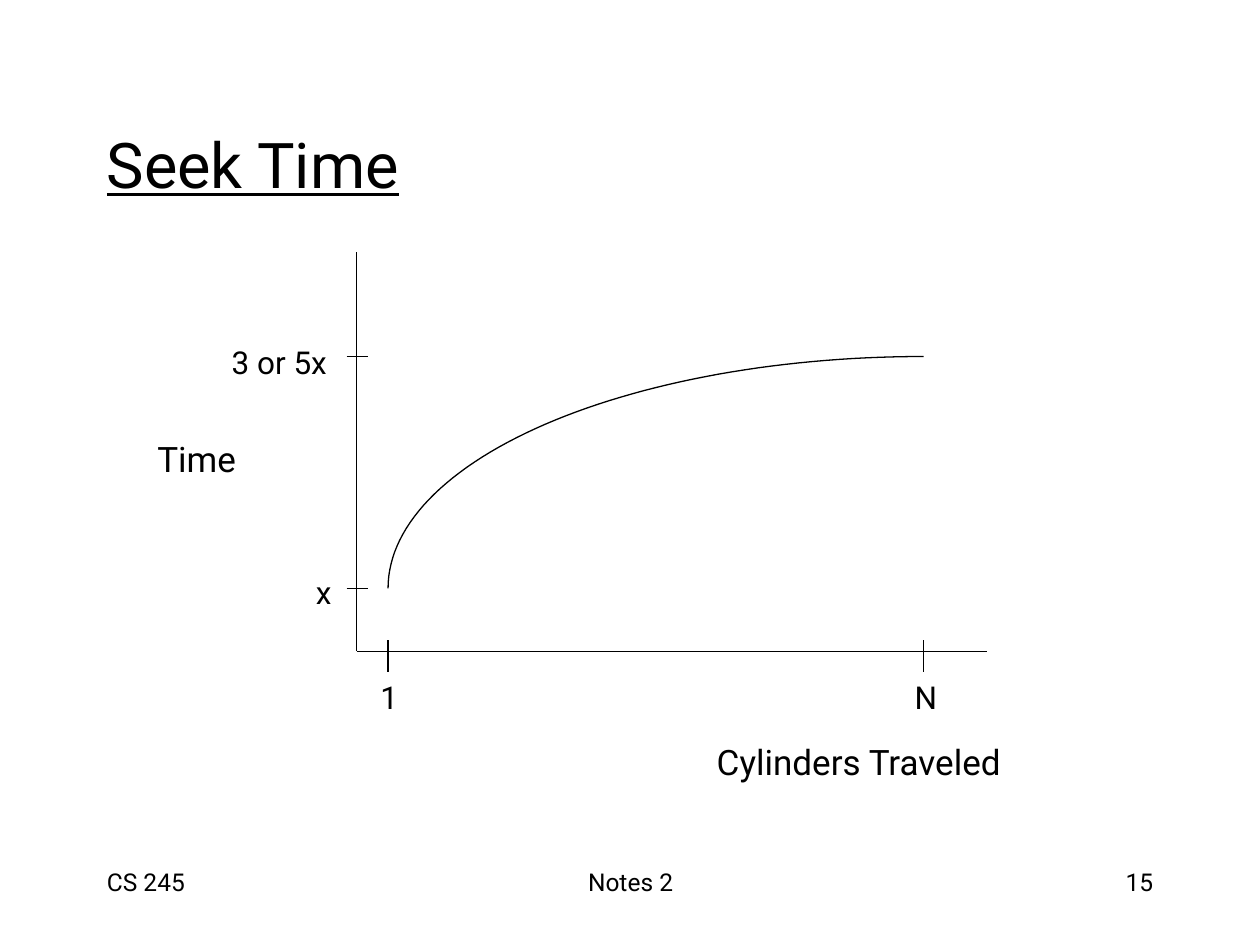
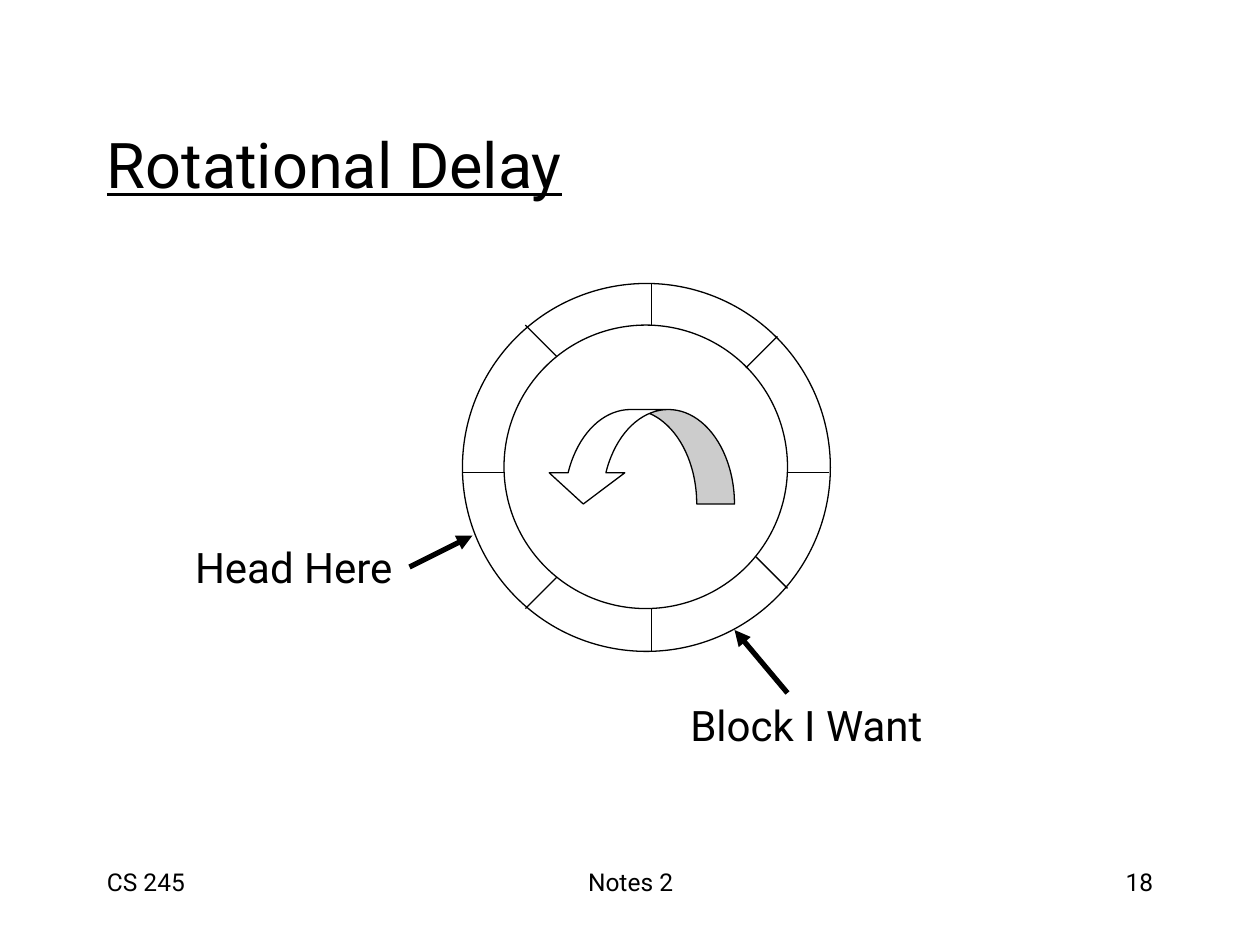
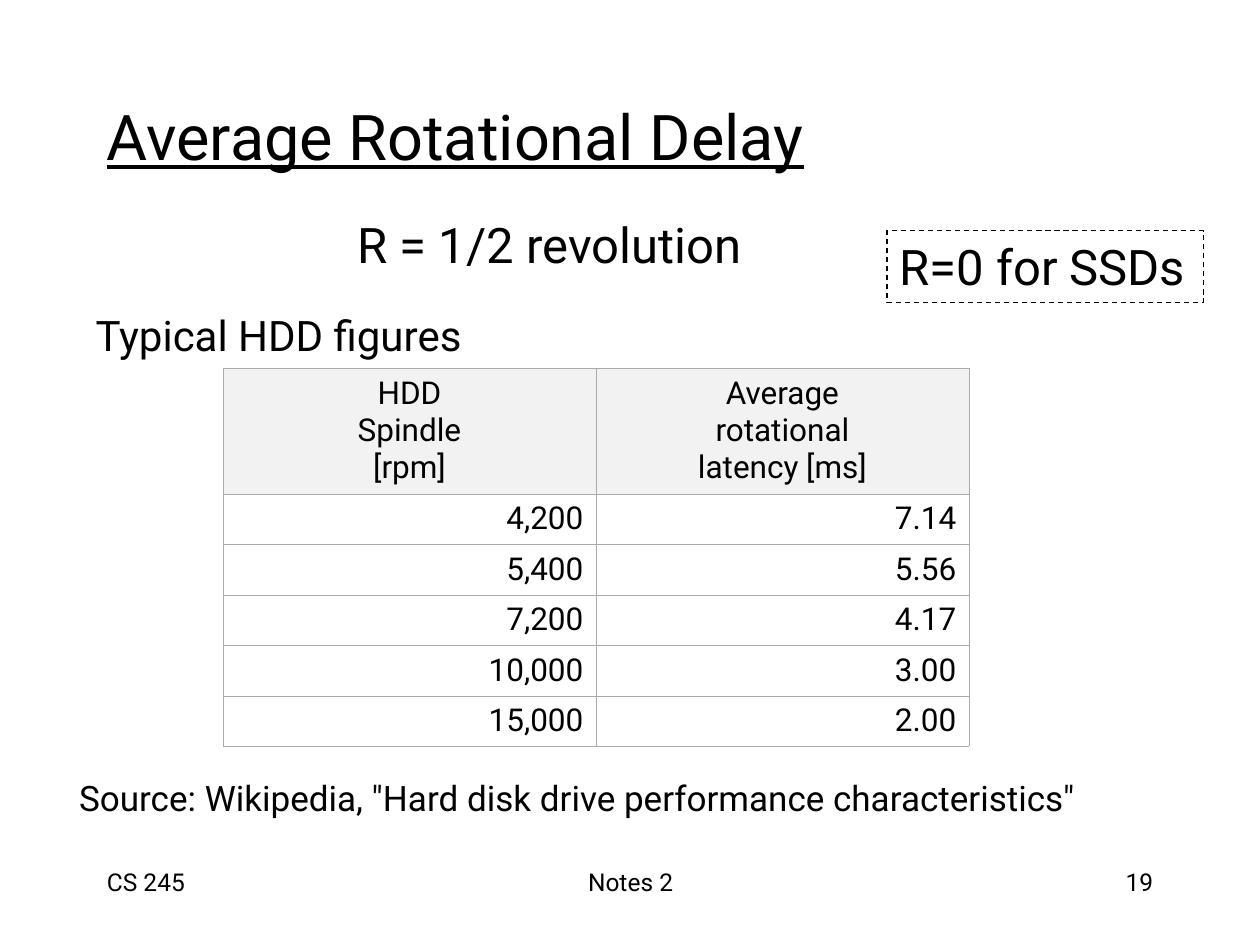
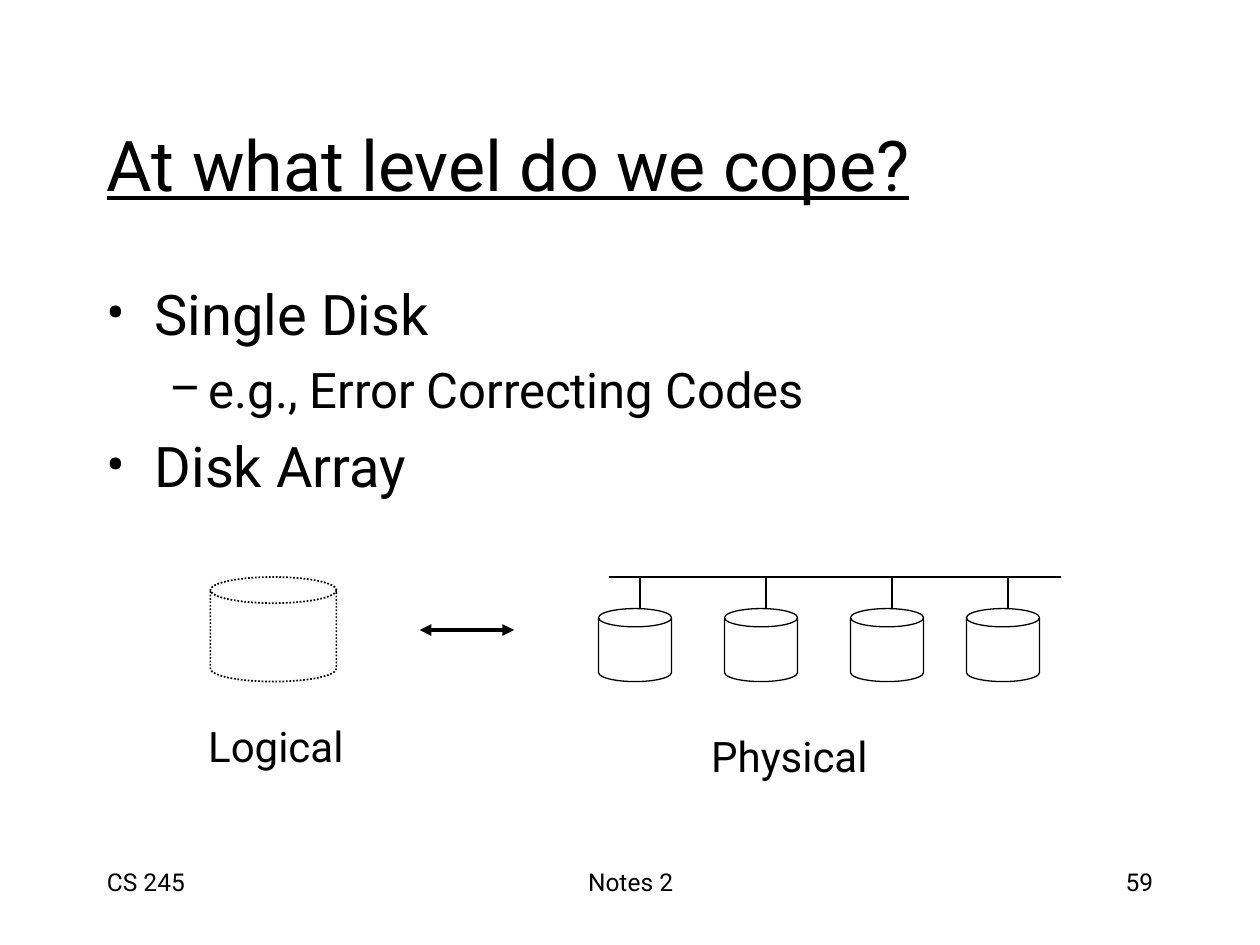
"""Build four lecture slides on disk seek time, rotational delay and arrays."""
from math import cos, pi, sin

from lxml.etree import SubElement
from pptx import Presentation
from pptx.dml.color import RGBColor
from pptx.enum.dml import MSO_LINE
from pptx.enum.shapes import MSO_CONNECTOR, MSO_SHAPE
from pptx.enum.text import MSO_ANCHOR, PP_ALIGN
from pptx.oxml.ns import qn
from pptx.util import Inches, Pt

COLOR = {"ink": "000000", "paper": "FFFFFF", "head": "F2F2F2", "rule": "AAAAAA"}
FONT = "Roboto"
LEFT, MID, RIGHT = PP_ALIGN.LEFT, PP_ALIGN.CENTER, PP_ALIGN.RIGHT

TITLE = (0.75, 0.67, 8.5, 1.25)
FOOT = [
    ("CS 245", (0.75, 6.83, 2.08, 0.5), LEFT),
    ("Notes 2", (3.42, 6.83, 3.17, 0.5), MID),
]
PAGE = (7.17, 6.83, 2.08, 0.5)

SEEK = {
    "axes": [(2.83, 2, 2.83, 5.17), (2.83, 5.17, 7.83, 5.17)],
    "x": (3.08, 7.33),
    "y": (2.83, 4.67),
    "labels": [
        ("3 or 5x", (1.74, 2.67, 1, 0.4), 18),
        ("x", (2.41, 4.5, 0.33, 0.4), 18),
        ("1", (2.92, 5.33, 0.34, 0.4), 18),
        ("N", (7.16, 5.33, 0.39, 0.4), 18),
        ("Cylinders Traveled", (5.59, 5.83, 2.6, 0.44), 20),
        ("Time", (1.15, 3.42, 0.84, 0.44), 20),
    ],
}

DISK = {
    "rings": [(3.67, 2.25, 2.92, 2.92), (4, 2.58, 2.25, 2.25)],
    "spokes": [
        (5.17, 2.25, 5.17, 2.58), (5.17, 4.83, 5.17, 5.17),
        (6.25, 3.75, 6.58, 3.75), (3.67, 3.75, 4, 3.75),
        (5.92, 2.92, 6.17, 2.67), (4.17, 4.83, 4.42, 4.58),
        (6, 4.42, 6.25, 4.67), (4.17, 2.58, 4.42, 2.83),
    ],
    "turn": (4.33, 3.25, 1.5, 0.75),
    "arrows": [(3.25, 4.5, 3.75, 4.25), (6.25, 5.5, 5.83, 5)],
    "labels": [
        ("Head Here", (1.45, 4.25, 1.87, 0.5), 24),
        ("Block I Want", (5.38, 5.5, 2.15, 0.5), 24),
    ],
}

DELAY = {
    "labels": [
        ("R = 1/2 revolution", (2.74, 1.65, 3.42, 0.57), 28),
        ("Typical HDD figures", (0.66, 2.41, 3.28, 0.5), 24),
        ('Source: Wikipedia, "Hard disk drive performance characteristics"',
         (0.53, 6.11, 8.6, 0.44), 20),
    ],
    "note": ("R=0 for SSDs", (7.04, 1.83, 2.51, 0.57), 28),
    "table": (1.77, 2.92, 5.92, 3),
    "rows": [
        ("HDD\nSpindle\n[rpm]", "Average\nrotational\nlatency [ms]"),
        ("4,200", "7.14"),
        ("5,400", "5.56"),
        ("7,200", "4.17"),
        ("10,000", "3.00"),
        ("15,000", "2.00"),
    ],
}

COPE = {
    "body": (0.75, 2.17, 8.5, 1.85),
    "points": [
        (0, "Single Disk"),
        (1, "e.g., Error Correcting Codes"),
        (0, "Disk Array"),
    ],
    "levels": [
        {"size": 32, "mark": "•", "left": 0.38, "hang": 0.38, "gap": 8},
        {"size": 28, "mark": "–", "left": 0.81, "hang": 0.31, "gap": 7},
    ],
    "bus": (4.83, 4.58, 8.42, 4.58),
    "cans": [(4.75, 5.08), (5.75, 6.08), (6.75, 7.08), (7.67, 8)],
    "whole": (1.67, 4.58, 1, 0.83),
    "link": (3.33, 5, 4.08, 5),
    "labels": [
        ("Logical", (1.54, 5.67, 1.3, 0.5), 24),
        ("Physical", (5.54, 5.75, 1.45, 0.5), 24),
    ],
}


def rgb(name):
    return RGBColor.from_string(COLOR[name])


def emu(box):
    return [Inches(v) for v in box]


def fill_in(para, text, size, align=LEFT, **more):
    para.text = text
    para.alignment = align
    look = {"name": FONT, "size": Pt(size), **more}
    for run in para.runs:
        run.font.color.rgb = rgb("ink")
        for key, val in look.items():
            setattr(run.font, key, val)


def label(slide, text, box, size, align=LEFT, wrap=False, anchor=MSO_ANCHOR.TOP, **more):
    frame = slide.shapes.add_textbox(*emu(box)).text_frame
    frame.word_wrap = wrap
    frame.vertical_anchor = anchor
    fill_in(frame.paragraphs[0], text, size, align, **more)


def labels(slide, items, **more):
    for text, box, size in items:
        label(slide, text, box, size, **more)


def stroke(line, width=0.75, dash=None):
    line.color.rgb = rgb("ink")
    line.width = Pt(width)
    if dash:
        line.dash_style = dash


def draw(slide, kind, box, fill="paper", **pen):
    shape = slide.shapes.add_shape(kind, *emu(box))
    shape.shadow.inherit = False
    if fill:
        shape.fill.solid()
        shape.fill.fore_color.rgb = rgb(fill)
    else:
        shape.fill.background()
    stroke(shape.line, **pen)
    return shape


def join(slide, ends, width=0.75, tips=()):
    wire = slide.shapes.add_connector(MSO_CONNECTOR.STRAIGHT, *emu(ends))
    stroke(wire.line, width)
    pen = wire.line._get_or_add_ln()
    for tip in tips:
        SubElement(pen, qn("a:" + tip), type="triangle")
    SubElement(wire._element.spPr, qn("a:effectLst"))


def start(deck, title, page, box=TITLE, size=36):
    slide = deck.slides.add_slide(deck.slide_layouts[6])
    for text, place, align in FOOT + [(page, PAGE, RIGHT)]:
        label(slide, text, place, 14, align, wrap=True)
    label(slide, title, box, size, wrap=True, anchor=MSO_ANCHOR.MIDDLE, underline=True)
    return slide


def seek(deck):
    slide = start(deck, "Seek Time", "15")
    (x1, x2), (y1, y2) = SEEK["x"], SEEK["y"]
    ticks = [(x, 5.08, x, 5.33) for x in SEEK["x"]]
    ticks += [(2.75, y, 2.92, y) for y in SEEK["y"]]
    for ends in SEEK["axes"] + ticks:
        join(slide, ends)
    steps = 60
    turns = [pi / 2 * i / steps for i in range(steps + 1)]
    dots = [emu((x2 - (x2 - x1) * cos(t), y2 - (y2 - y1) * sin(t))) for t in turns]
    pen = slide.shapes.build_freeform(*dots[0], scale=1.0)
    pen.add_line_segments(dots[1:], close=False)
    curve = pen.convert_to_shape()
    curve.shadow.inherit = False
    curve.fill.background()
    stroke(curve.line)
    labels(slide, SEEK["labels"])


def disk(deck):
    slide = start(deck, "Rotational Delay", "18")
    for box in DISK["rings"]:
        draw(slide, MSO_SHAPE.OVAL, box)
    for ends in DISK["spokes"]:
        join(slide, ends)
    turn = draw(slide, MSO_SHAPE.CURVED_DOWN_ARROW, DISK["turn"])
    for i, part in enumerate((0.4, 0.8, 0.33)):
        turn.adjustments[i] = part
    turn._element.spPr.find(qn("a:xfrm")).set("flipH", "1")
    for ends in DISK["arrows"]:
        join(slide, ends, 3, ["tailEnd"])
    labels(slide, DISK["labels"])


def border(cell):
    props = cell._tc.get_or_add_tcPr()
    for side in ("lnL", "lnR", "lnT", "lnB"):
        edge = SubElement(props, qn("a:" + side), w=str(Pt(0.28)))
        paint = SubElement(edge, qn("a:solidFill"))
        SubElement(paint, qn("a:srgbClr"), val=COLOR["rule"])


def delay(deck):
    slide = start(deck, "Average Rotational Delay", "19", (0.75, 0.58, 8.5, 0.99))
    rows = DELAY["rows"]
    grid = slide.shapes.add_table(len(rows), 2, *emu(DELAY["table"])).table
    grid.first_row = grid.horz_banding = False
    for i, row in enumerate(rows):
        grid.rows[i].height = Inches(0.4 if i else 1)
        for j, text in enumerate(row):
            cell = grid.cell(i, j)
            border(cell)
            cell.fill.solid()
            cell.fill.fore_color.rgb = rgb("paper" if i else "head")
            cell.vertical_anchor = MSO_ANCHOR.MIDDLE
            fill_in(cell.text_frame.paragraphs[0], text, 18, RIGHT if i else MID)
    labels(slide, DELAY["labels"])
    text, box, size = DELAY["note"]
    note = draw(slide, MSO_SHAPE.RECTANGLE, box, None, dash=MSO_LINE.DASH)
    note.text_frame.word_wrap = False
    note.text_frame.vertical_anchor = MSO_ANCHOR.TOP
    fill_in(note.text_frame.paragraphs[0], text, size)


def points(slide):
    frame = slide.shapes.add_textbox(*emu(COPE["body"])).text_frame
    frame.word_wrap = True
    for i, (depth, text) in enumerate(COPE["points"]):
        rule = COPE["levels"][depth]
        para = frame.add_paragraph() if i else frame.paragraphs[0]
        para.level = depth
        if i:
            para.space_before = Pt(rule["gap"])
        props = para._p.get_or_add_pPr()
        props.set("marL", str(Inches(rule["left"])))
        props.set("indent", str(-Inches(rule["hang"])))
        SubElement(props, qn("a:buFont"), typeface=FONT)
        SubElement(props, qn("a:buChar"), char=rule["mark"])
        fill_in(para, text, rule["size"])


def cope(deck):
    slide = start(deck, "At what level do we cope?", "59", size=40)
    points(slide)
    join(slide, COPE["bus"])
    for left, stem in COPE["cans"]:
        draw(slide, MSO_SHAPE.CAN, (left, 4.83, 0.58, 0.58))
        join(slide, (stem, 4.58, stem, 4.83))
    draw(slide, MSO_SHAPE.CAN, COPE["whole"], width=1, dash=MSO_LINE.ROUND_DOT)
    join(slide, COPE["link"], 2.25, ["headEnd", "tailEnd"])
    labels(slide, COPE["labels"], align=MID, anchor=MSO_ANCHOR.MIDDLE)


def main():
    deck = Presentation()
    deck.slide_width, deck.slide_height = Inches(10), Inches(7.5)
    for build in (seek, disk, delay, cope):
        build(deck)
    deck.save("out.pptx")


if __name__ == "__main__":
    main()
